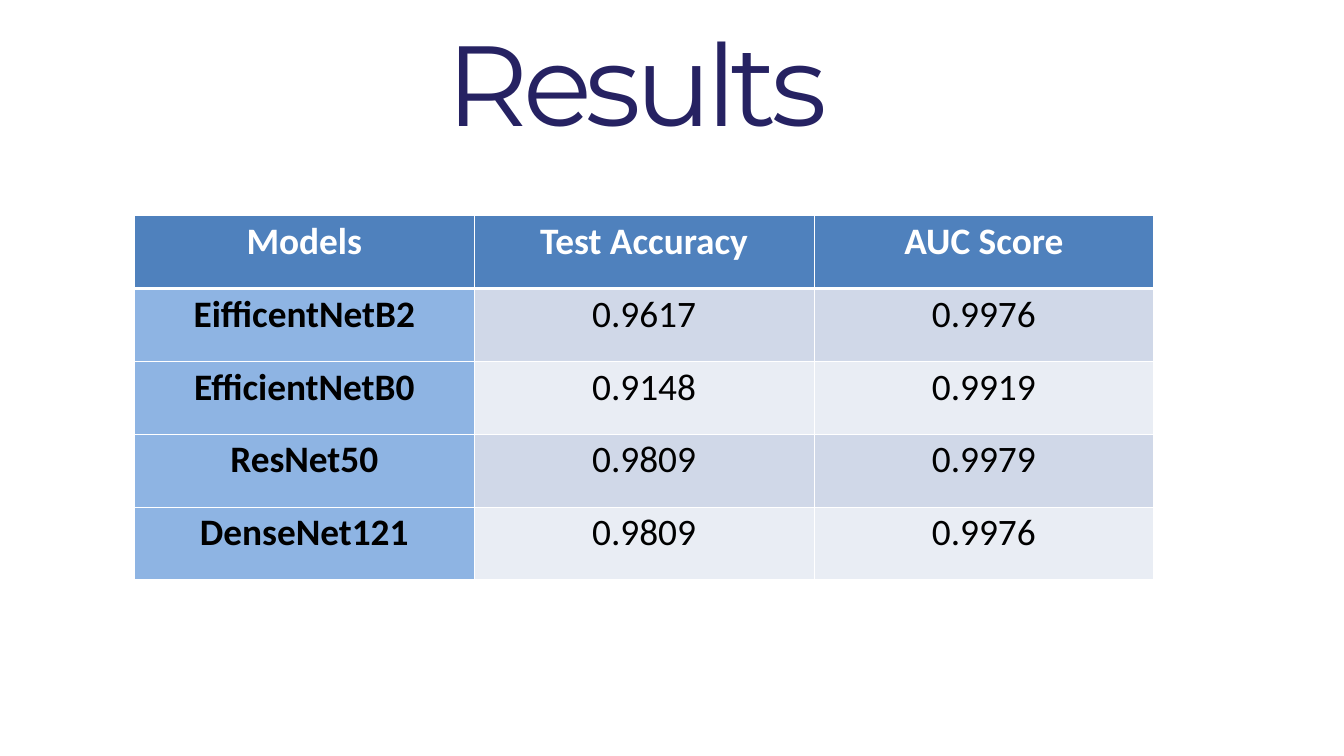
from pptx import Presentation
from pptx.dml.color import RGBColor
from pptx.enum.text import MSO_AUTO_SIZE, PP_ALIGN
from pptx.oxml.ns import qn
from pptx.util import Pt
from lxml.etree import SubElement

PX = 9144  # 100 px to the inch
WHITE, BLACK, NAVY = "FFFFFF", "000000", "262262"
HEADER, MODEL, BANDS = "4F81BD", "8EB4E3", ("D0D8E8", "E9EDF4")

RESULTS = [
    ("Models", "Test Accuracy", "AUC Score"),
    ("EifficentNetB2", "0.9617", "0.9976"),
    ("EfficientNetB0", "0.9148", "0.9919"),
    ("ResNet50", "0.9809", "0.9979"),
    ("DenseNet121", "0.9809", "0.9976"),
]


def px(n):
    return round(n * PX)


def rgb(color):
    return RGBColor.from_string(color)


def add_run(p, text, font, size, color, bold=False):
    r = p.add_run()
    r.text = text
    r.font.name, r.font.size, r.font.bold = font, Pt(size), bold
    r.font.color.rgb = rgb(color)
    return r


def add_title(s, text, x, y, w, h):
    tf = s.shapes.add_textbox(px(x), px(y), px(w), px(h)).text_frame
    tf.word_wrap = True
    tf.auto_size = MSO_AUTO_SIZE.SHAPE_TO_FIT_TEXT
    tf.margin_left = tf.margin_top = tf.margin_right = tf.margin_bottom = 0
    p = tf.paragraphs[0]
    p.line_spacing = Pt(93.9)
    r = add_run(p, text, "Montserrat", 122, NAVY)
    r.font._element.set("spc", "-650")


def set_borders(cell, color, bottom):
    """Draw 1 pt lines round the cell, with its own width at the bottom."""
    tcPr = cell._tc.get_or_add_tcPr()
    for i, (side, width) in enumerate(zip("LRTB", (1, 1, 1, bottom))):
        ln = SubElement(tcPr, qn(f"a:ln{side}"), w=str(Pt(width)))
        fill = SubElement(ln, qn("a:solidFill"))
        SubElement(fill, qn("a:srgbClr"), val=color)
        tcPr.insert(i, ln)  # lines come before the cell fill


def add_results_table(s, rows, x, y, w, h):
    n_rows, n_cols = len(rows), len(rows[0])
    table = s.shapes.add_table(n_rows, n_cols, px(x), px(y), px(w), px(h)).table
    for col in table.columns:
        col.width = px(w / n_cols)
    for i, values in enumerate(rows):
        table.rows[i].height = px(h / n_rows)
        for j, value in enumerate(values):
            header, model = i == 0, j == 0
            cell = table.cell(i, j)
            cell.margin_left = cell.margin_right = px(7)
            cell.margin_top = cell.margin_bottom = 0
            cell.fill.solid()
            fill = HEADER if header else MODEL if model else BANDS[(i - 1) % 2]
            cell.fill.fore_color.rgb = rgb(fill)
            set_borders(cell, WHITE, 3 if header else 1)
            p = cell.text_frame.paragraphs[0]
            p.alignment, p.line_spacing = PP_ALIGN.CENTER, 1.07
            add_run(p, value, "Calibri", 40, WHITE if header else BLACK, header or model)


def main():
    prs = Presentation()
    prs.slide_width, prs.slide_height = px(2000), px(1125)
    s = prs.slides.add_slide(prs.slide_layouts[6])
    s.background.fill.solid()
    s.background.fill.fore_color.rgb = rgb(WHITE)
    add_title(s, "Results", 665, 91, 670, 149)
    add_results_table(s, RESULTS, 200, 321, 1517, 542)
    prs.save("out.pptx")


if __name__ == "__main__":
    main()
